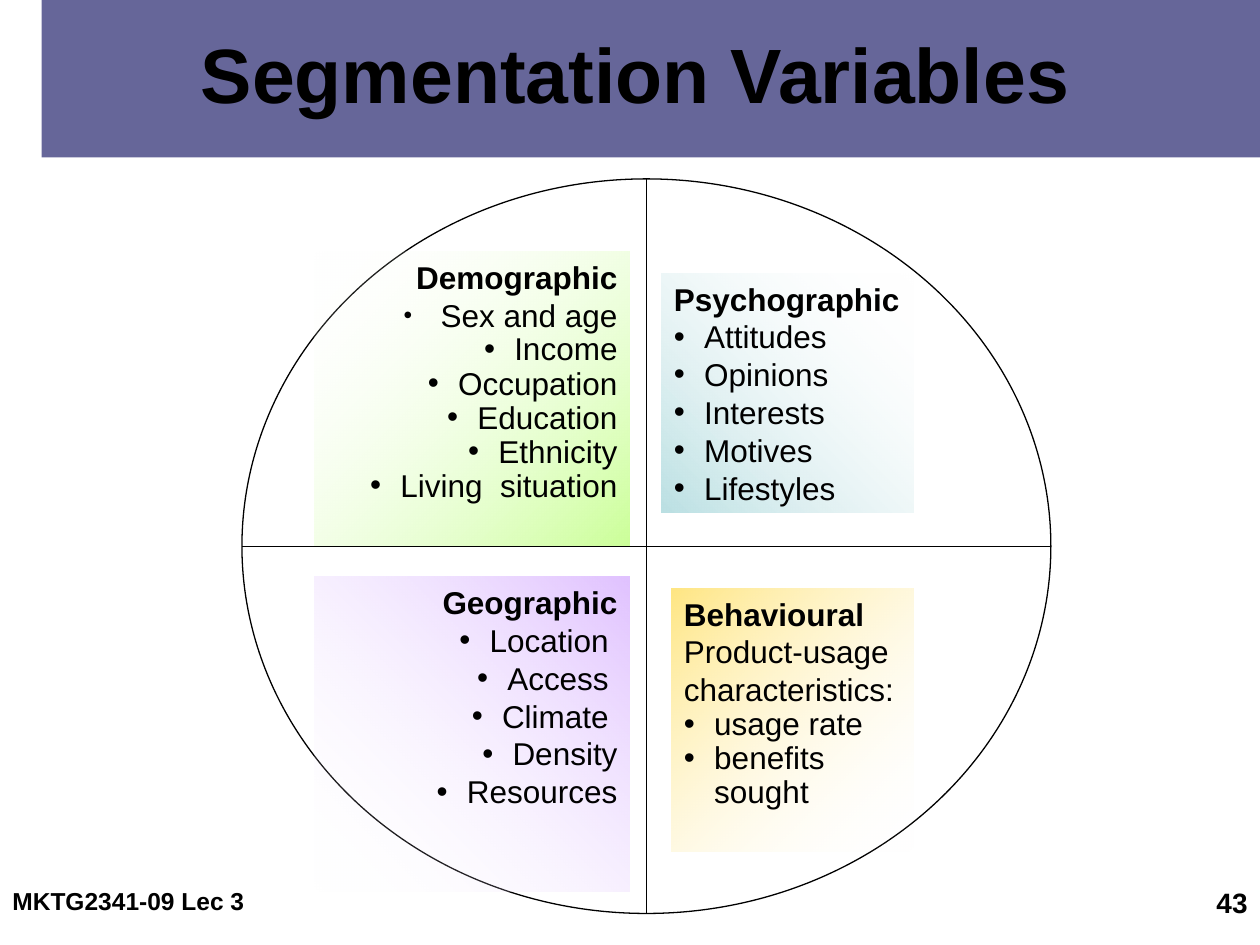
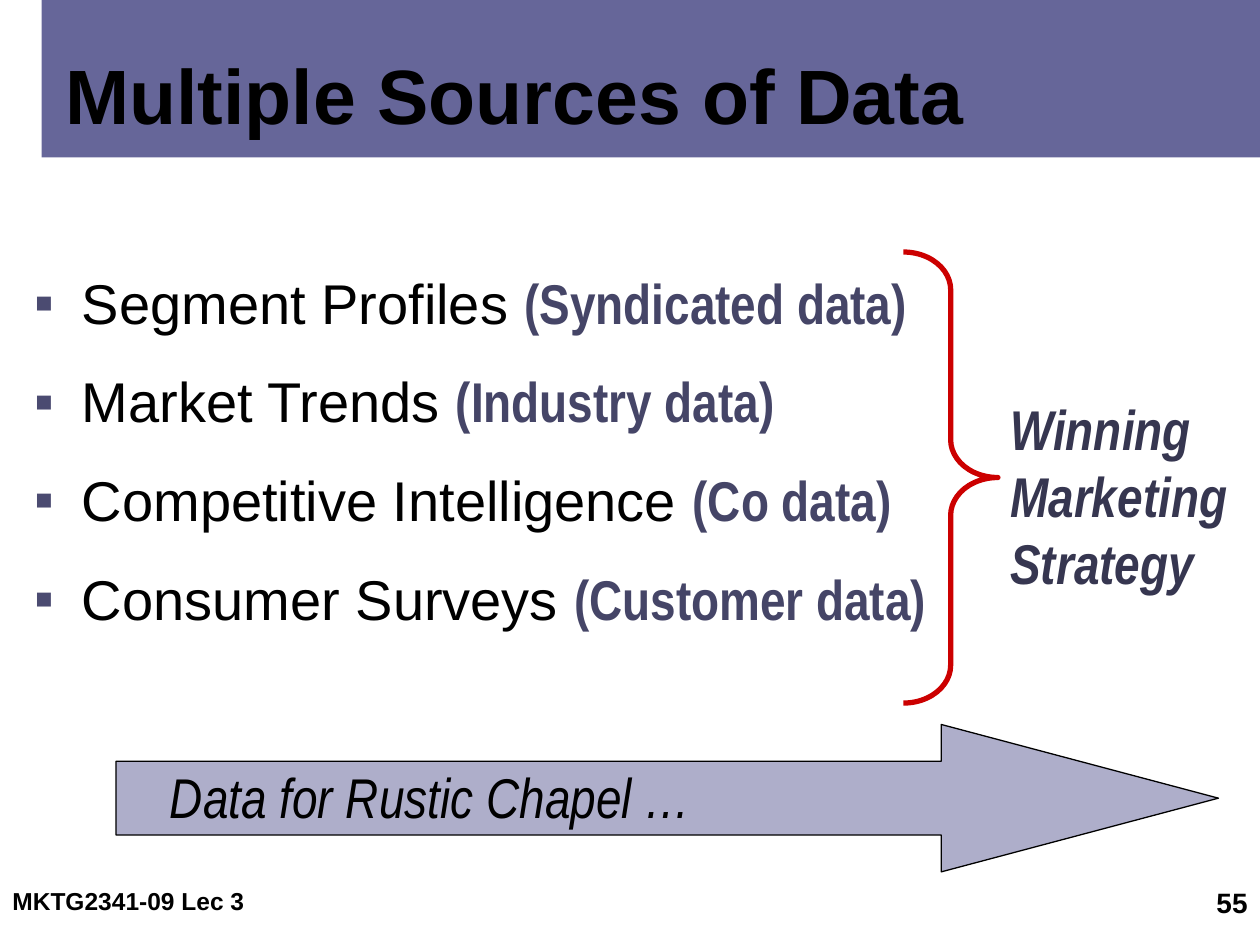
import pptx
import pptx.util
import pptx.dml.color
import pptx.enum.shapes
import pptx.enum.text
from lxml import etree
from pptx.oxml.ns import qn

Inches = pptx.util.Inches
Pt = pptx.util.Pt
SHAPE = pptx.enum.shapes.MSO_SHAPE
ALIGN = pptx.enum.text.PP_ALIGN
ANCHOR = pptx.enum.text.MSO_ANCHOR

COLOURS = {
    "black": "000000", "white": "FFFFFF", "band": "666699", "bullet": "4B4B71",
    "source": "454567", "strategy": "363650", "brace": "CC0000", "arrow": "AEAECA",
    "teal": "BBE0E3", "yellow": "FFCC00", "green": "CCFF99", "violet": "CC99FF",
}
TITLE = {"size": 44, "bold": True}
HEADING = {"size": 18, "bold": True}
ITEM = {"size": 18}
BODY = {"size": 32}
NARROW = {"size": 32, "name": "Arial Narrow"}
SOURCE = {**NARROW, "bold": True, "colour": "source"}
STRATEGY = {**NARROW, "bold": True, "italic": True, "colour": "strategy"}
HANG = 0.24


def rgb(name):
    return pptx.dml.color.RGBColor.from_string(COLOURS[name])


def item(text, **layout):
    return {"runs": [(text, ITEM)], "bullet": "•", **layout}


def heading(text, **layout):
    return {"runs": [(text, HEADING)], **layout}


class SlideBuilder:
    """Holds the deck style and the slide being filled."""

    def __init__(self):
        self.deck = pptx.Presentation()
        self.deck.slide_width, self.deck.slide_height = Inches(10), Inches(7.5)
        self.page = None

    def new_page(self, layout, number):
        """Start a slide with the band, the course label and its number."""
        self.page = self.deck.slides.add_slide(self.deck.slide_layouts[layout])
        band = self.shape(SHAPE.RECTANGLE, (0.33, 0, 9.67, 1.25), fill="band")
        band.element.getparent().insert(2, band.element)
        self.text((0, 6.98, 2.33, 0.52), "MKTG2341-09 Lec 3", {"size": 14, "bold": True})
        self.text((7.67, 6.98, 2.33, 0.52), number, {"size": 16, "bold": True}, ALIGN.RIGHT)

    def place(self, box, place):
        box.left, box.top, box.width, box.height = map(Inches, place)

    def title(self, text, place, align):
        box = self.page.shapes.title
        self.place(box, place)
        self.paragraphs(box, [{"runs": [(text, TITLE)], "align": align}], ANCHOR.MIDDLE)

    def body(self, place, contents):
        box = self.page.placeholders[1]
        self.place(box, place)
        self.paragraphs(box, contents)

    def text(self, place, text, style, align=ALIGN.LEFT):
        box = self.page.shapes.add_textbox(*map(Inches, place))
        self.paragraphs(box, [{"runs": [(text, style)], "align": align}])

    def shape(self, kind, place, fill=None, line=None, weight=0.75, adjust=()):
        shape = self.page.shapes.add_shape(kind, *map(Inches, place))
        shape.shadow.inherit = False
        for index, value in enumerate(adjust):
            shape.adjustments[index] = value
        if fill:
            shape.fill.solid()
            shape.fill.fore_color.rgb = rgb(fill)
        else:
            shape.fill.background()
        if line:
            shape.line.color.rgb = rgb(line)
            shape.line.width = Pt(weight)
        else:
            shape.line.fill.background()
        return shape

    def panel(self, place, stops, angle, contents):
        """A gradient rectangle; stops are (colour, opacity percent), angle is clockwise."""
        panel = self.shape(SHAPE.RECTANGLE, place)
        plain_fill = panel.element.spPr.find(qn("a:noFill"))
        gradient = etree.Element(qn("a:gradFill"), rotWithShape="1")
        stop_list = etree.SubElement(gradient, qn("a:gsLst"))
        for position, (colour, opacity) in zip((0, 100000), stops):
            stop = etree.SubElement(stop_list, qn("a:gs"), pos=str(position))
            tint = etree.SubElement(stop, qn("a:srgbClr"), val=COLOURS[colour])
            etree.SubElement(tint, qn("a:alpha"), val=str(opacity * 1000))
        etree.SubElement(gradient, qn("a:lin"), ang=str(angle * 60000), scaled="1")
        plain_fill.getparent().replace(plain_fill, gradient)
        self.paragraphs(panel, contents)

    def paragraphs(self, box, contents, anchor=ANCHOR.TOP):
        frame = box.text_frame
        frame.word_wrap = True
        frame.auto_size = pptx.enum.text.MSO_AUTO_SIZE.NONE
        frame.vertical_anchor = anchor
        for index, content in enumerate(contents):
            para = frame.add_paragraph() if index else frame.paragraphs[0]
            if "bullet" in content:
                self.bullet(para, content)
            layout = {
                "alignment": content.get("align", ALIGN.LEFT),
                "level": content.get("level", 0),
                "line_spacing": content.get("spacing", 1.0),
                "space_before": Pt(content.get("before", 0) if index else 0),
            }
            for name, value in layout.items():
                setattr(para, name, value)
            for text, style in content["runs"]:
                self.span(para, text, style)

    def bullet(self, para, content):
        hang = content.get("hang", HANG)
        margin = 0.5 * content.get("level", 0) or hang
        properties = para._p.get_or_add_pPr()
        properties.set("marL", str(Inches(margin)))
        properties.set("indent", str(-Inches(hang)))
        colour = etree.SubElement(properties, qn("a:buClr"))
        etree.SubElement(colour, qn("a:srgbClr"), val=COLOURS[content.get("bullet_colour", "black")])
        etree.SubElement(properties, qn("a:buFont"), typeface="Arial")
        etree.SubElement(properties, qn("a:buChar"), char=content["bullet"])

    def span(self, para, text, style):
        span = para.add_run()
        span.text = text
        values = {"name": "Arial", "bold": False, "italic": False, **style}
        values["size"] = Pt(values["size"])
        span.font.color.rgb = rgb(values.pop("colour", "black"))
        for name, value in values.items():
            setattr(span.font, name, value)


def segmentation_variables(builder):
    builder.new_page(5, "43")
    builder.title("Segmentation Variables", (0.42, 0, 9.25, 1.15), ALIGN.CENTER)
    builder.shape(SHAPE.FLOWCHART_OR, (1.92, 1.42, 6.42, 5.83), "white", "black")

    traits = ["Attitudes", "Opinions", "Interests", "Motives", "Lifestyles"]
    builder.panel((5.25, 2.17, 2, 1.9), [("teal", 100), ("white", 0)], 315,
                  [heading("Psychographic")] + [item(trait) for trait in traits])

    habits = ["usage rate", "benefits sought"]
    builder.panel((5.33, 4.67, 1.92, 2.09), [("yellow", 49), ("white", 0)], 45,
                  [heading("Behavioural"),
                   {"runs": [("Product-usage characteristics:", ITEM)]}]
                  + [item(habit, spacing=0.9) for habit in habits])

    right = {"align": ALIGN.RIGHT}
    people = ["Income", "Occupation", "Education", "Ethnicity", "Living  situation"]
    first = item("", level=1, **right)
    first["runs"] = [(" ", {"size": 14}), ("Sex and age", ITEM)]
    builder.panel((2.5, 2, 2.5, 2.33), [("white", 0), ("green", 100)], 45,
                  [heading("Demographic", **right), first]
                  + [item(fact, level=1, spacing=0.9, **right) for fact in people])

    places = ["Location ", "Access ", "Climate ", "Density", "Resources"]
    builder.panel((2.5, 4.58, 2.5, 2.5), [("white", 0), ("violet", 60)], 315,
                  [heading("Geographic", **right)]
                  + [item(fact, level=2, **right) for fact in places])


def sources_of_data(builder):
    builder.new_page(1, "55")
    builder.title("Multiple Sources of Data", (0.42, 0.33, 9.17, 0.83), ALIGN.LEFT)
    sources = {
        "Segment Profiles ": "(Syndicated data)",
        "Market Trends ": "(Industry data)",
        "Competitive Intelligence ": "(Co data)",
        "Consumer Surveys ": "(Customer data)",
    }
    builder.body((0.17, 1.92, 7.42, 4.5), [
        {"runs": [(topic, BODY), (source, SOURCE)], "bullet": "▪", "hang": 0.38,
         "bullet_colour": "bullet", "spacing": 1.3, "before": 6.4}
        for topic, source in sources.items()])
    builder.shape(SHAPE.RIGHT_BRACE, (7.17, 2, 0.75, 3.58), line="brace", weight=3,
                  adjust=(0.4, 0.5))
    builder.text((7.92, 3.08, 2.42, 1.7), "Winning Marketing Strategy", STRATEGY)
    builder.shape(SHAPE.RIGHT_ARROW, (0.92, 5.75, 8.75, 1.17), "arrow", "black",
                  adjust=(0.5, 1.88))
    builder.text((1.25, 6, 7.25, 0.63), "Data for Rustic Chapel …",
                 {**NARROW, "italic": True})


def main():
    builder = SlideBuilder()
    segmentation_variables(builder)
    sources_of_data(builder)
    builder.deck.save("out.pptx")


if __name__ == "__main__":
    main()
